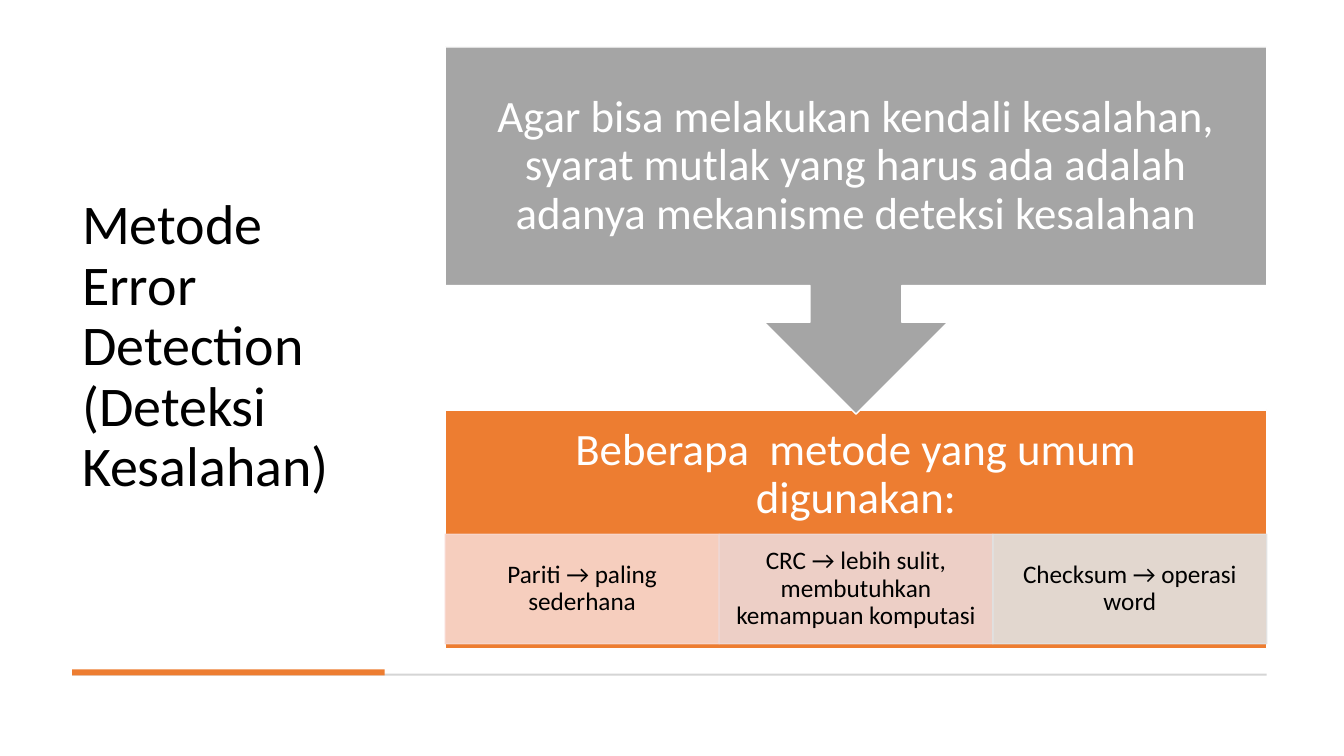
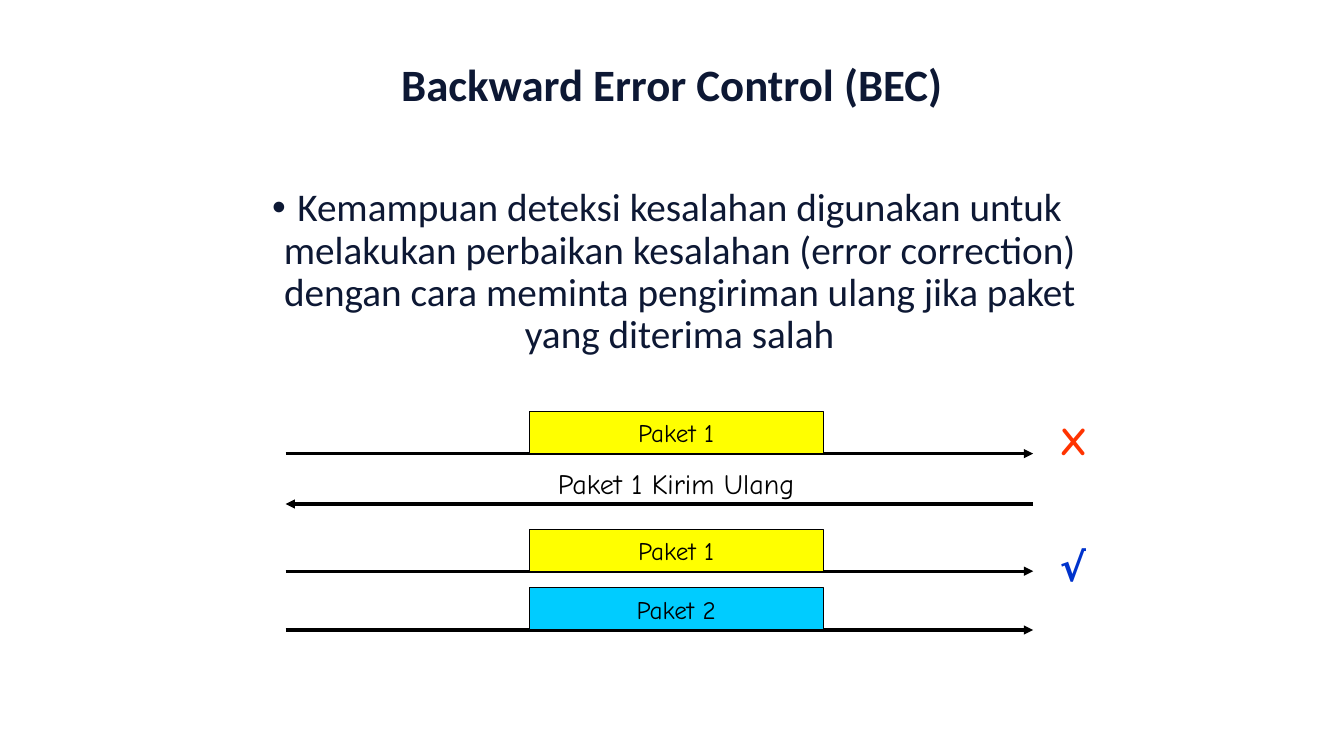
import dataclasses

import lxml.etree
import pptx
import pptx.dml.color
import pptx.enum.shapes
import pptx.enum.text
import pptx.oxml.ns
import pptx.util


@dataclasses.dataclass(frozen=True)
class Theme:
    body_font: str = "Calibri"
    label_font: str = "Comic Neue"
    title_size: int = 40
    heading_size: int = 32
    body_size: int = 28
    caption_size: int = 20
    label_size: int = 18
    tight: float = 0.9
    black: str = "000000"
    white: str = "FFFFFF"
    navy: str = "0D1834"
    orange: str = "ED7D31"
    grey: str = "A5A5A5"
    rule: str = "D5D5D5"
    yellow: str = "FFFF00"
    cyan: str = "00CCFF"
    red: str = "FF3300"
    blue: str = "0033CC"


theme = Theme()
qn = pptx.oxml.ns.qn
rgb = pptx.dml.color.RGBColor.from_string
shapes = pptx.enum.shapes.MSO_SHAPE
align = pptx.enum.text.PP_ALIGN
anchors = pptx.enum.text.MSO_ANCHOR

presentation = pptx.Presentation()
presentation.slide_width = pptx.util.Inches(13.33)
presentation.slide_height = pptx.util.Inches(7.5)
COLUMNS, ROWS = 160, 90
column = presentation.slide_width / COLUMNS
row = presentation.slide_height / ROWS
blank = presentation.slide_layouts[6]


def add_box(slide, left, top, width, height, fill=None, outline=None,
            outline_width=1, opacity=100, kind=shapes.RECTANGLE):
    place = [round(left * column), round(top * row),
             round(width * column), round(height * row)]
    if fill is None:
        return slide.shapes.add_textbox(*place)
    shape = slide.shapes.add_shape(kind, *place)
    shape.shadow.inherit = False
    shape.fill.solid()
    shape.fill.fore_color.rgb = rgb(fill)
    if outline:
        shape.line.color.rgb = rgb(outline)
        shape.line.width = pptx.util.Pt(outline_width)
    else:
        shape.line.fill.background()
    if opacity < 100:
        for colour in shape.element.spPr.iter(qn("a:srgbClr")):
            lxml.etree.SubElement(colour, qn("a:alpha"), val=str(opacity * 1000))
    return shape


def write(shape, text, size, colour, font=theme.body_font, bold=False,
          alignment=align.CENTER, anchor=anchors.MIDDLE, spacing=None,
          insets=(0.1, 0.05, 0.1, 0.05), wrap=True, bullet=None):
    frame = shape.text_frame
    frame.word_wrap = wrap
    frame.vertical_anchor = anchor
    frame.margin_left, frame.margin_top, frame.margin_right, frame.margin_bottom = (
        pptx.util.Inches(inset) for inset in insets)
    paragraph = frame.paragraphs[0]
    for number, line in enumerate(text.splitlines()):
        if number:
            paragraph.add_line_break()
        paragraph.add_run().text = line
    paragraph.alignment = alignment
    if spacing:
        paragraph.line_spacing = spacing
    if bullet:
        properties = paragraph._p.get_or_add_pPr()
        indent = pptx.util.Inches(0.25)
        properties.set("marL", str(indent))
        properties.set("indent", str(-indent))
        lxml.etree.SubElement(properties, qn("a:buFont"), typeface="Arial")
        lxml.etree.SubElement(properties, qn("a:buChar"), char=bullet)
    paragraph.font.name = font
    paragraph.font.size = pptx.util.Pt(size)
    paragraph.font.bold = bold
    paragraph.font.color.rgb = rgb(colour)


slide = presentation.slides.add_slide(blank)
margin, panel_left, panel_width, panel_top = 8.6, 53, 97.8, 5.6

title = add_box(slide, margin, panel_top, 37.2, 71.6)
write(title, "Metode Error Detection\n(Deteksi Kesalahan)", theme.title_size,
      theme.black, alignment=align.LEFT, spacing=theme.tight)
add_box(slide, margin, 80.2, panel_left + panel_width - margin, 0.24, theme.rule)
add_box(slide, margin, 79.7, 37.2, 0.7, theme.orange)

methods = add_box(slide, panel_left, 48.8, panel_width, 28.4, theme.orange, theme.white)
write(methods, "Beberapa  metode yang umum digunakan:", theme.heading_size,
      theme.white, spacing=theme.tight, insets=(0.25, 0.25, 0.25, 1.33))

method_cells = [
    ("Pariti → paling sederhana", "F8D7CE"),
    ("CRC → lebih sulit, membutuhkan kemampuan komputasi", "EDD9D7"),
    ("Checksum → operasi word", "E1E1E1"),
]
cell_width = panel_width / len(method_cells)
for index, (text, fill) in enumerate(method_cells):
    cell = add_box(slide, panel_left + index * cell_width, 63.6, cell_width, 13.05,
                   fill, fill, opacity=90)
    write(cell, text, theme.label_size, theme.black, spacing=theme.tight,
          insets=(0.14, 0.03, 0.14, 0.03))

requirement = add_box(slide, panel_left, panel_top, panel_width, 43.7, theme.grey,
                      theme.white, kind=shapes.DOWN_ARROW_CALLOUT)
write(requirement,
      "Agar bisa melakukan kendali kesalahan, syarat mutlak yang harus ada "
      "adalah adanya mekanisme deteksi kesalahan",
      theme.heading_size, theme.white, spacing=theme.tight, insets=(0.25,) * 4)

slide = presentation.slides.add_slide(blank)
title = add_box(slide, 32, 5.8, 96, 9.2)
write(title, "Backward Error Control (BEC)", theme.heading_size, theme.navy,
      bold=True, spacing=theme.tight)
body = add_box(slide, 27.1, 21.8, 104.6, 24.1)
write(body,
      "Kemampuan deteksi kesalahan digunakan untuk melakukan perbaikan kesalahan "
      "(error correction) dengan cara meminta pengiriman ulang jika paket yang "
      "diterima salah",
      theme.body_size, theme.navy, anchor=anchors.TOP, spacing=theme.tight, bullet="•")

sender, receiver = 34, 123
packet_height = 5
transfers = [
    (54, sender, receiver, "Paket 1", theme.yellow),
    (60, receiver, sender, None, None),
    (68, sender, receiver, "Paket 1", theme.yellow),
    (75, sender, receiver, "Paket 2", theme.cyan),
]
for level, start, end, packet, fill in transfers:
    arrow = slide.shapes.add_connector(
        pptx.enum.shapes.MSO_CONNECTOR.STRAIGHT,
        round(start * column), round(level * row),
        round(end * column), round(level * row))
    arrow.line.color.rgb = rgb(theme.black)
    arrow.line.width = pptx.util.Pt(2.25)
    lxml.etree.SubElement(arrow.line._get_or_add_ln(), qn("a:tailEnd"), type="triangle")
    lxml.etree.SubElement(arrow.element.spPr, qn("a:effectLst"))
    if packet:
        box = add_box(slide, 63, level - packet_height, 35, packet_height, fill,
                      theme.black, 0.75)
        write(box, packet, theme.label_size, theme.black, theme.label_font, wrap=False)

request = add_box(slide, 64, 55, 33, 5.3)
write(request, "Paket 1 Kirim Ulang", theme.caption_size, theme.black,
      theme.label_font, anchor=anchors.TOP)
for mark, top, width, colour in [("X", 49, 5.8, theme.red), ("√", 64, 8, theme.blue)]:
    result = add_box(slide, 125, top, width, 6.8)
    write(result, mark, theme.body_size, colour, theme.label_font, bold=True,
          alignment=align.LEFT, anchor=anchors.TOP)

presentation.save("out.pptx")
